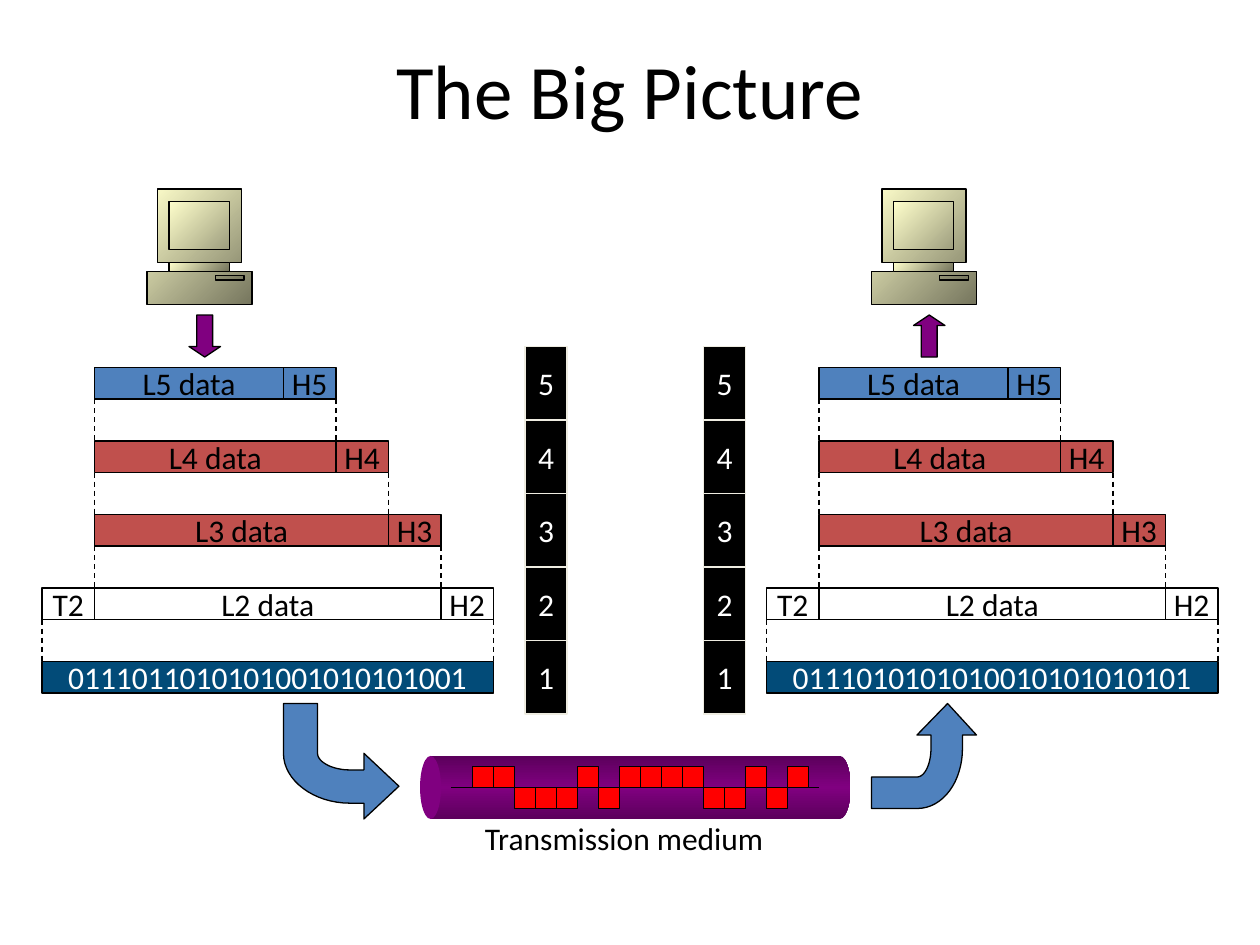
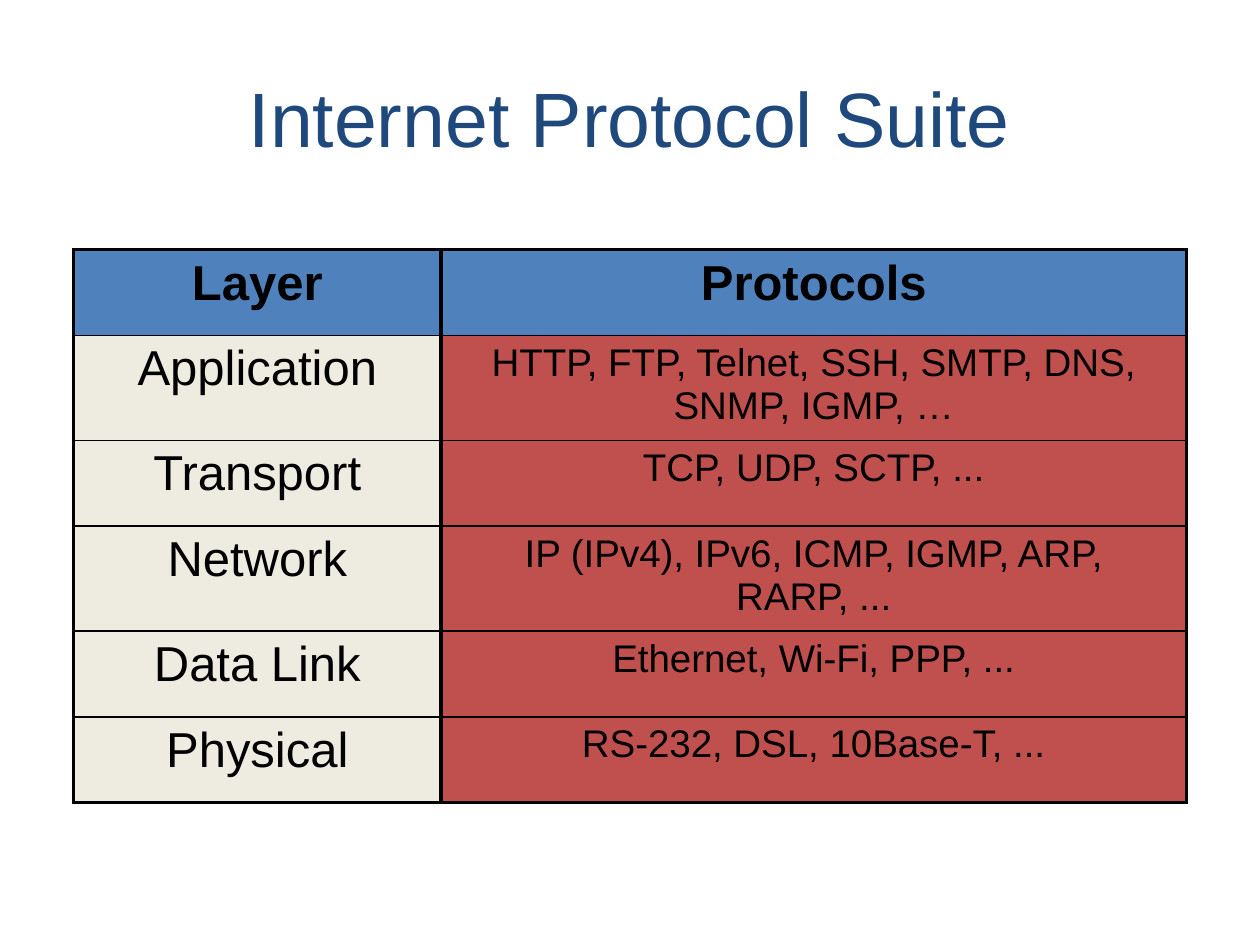
import dataclasses
import typing

import lxml.etree
import pptx
import pptx.dml.color
import pptx.enum.dml
import pptx.enum.shapes
import pptx.enum.text
import pptx.oxml.ns
import pptx.util

Pt = pptx.util.Pt
qn = pptx.oxml.ns.qn
Preset = pptx.enum.shapes.MSO_SHAPE
Align = pptx.enum.text.PP_ALIGN
Anchor = pptx.enum.text.MSO_ANCHOR
Point = tuple[float, float]

BLACK, WHITE = "000000", "FFFFFF"
BLUE, RED, CREAM, NAVY = "4F81BD", "C0504D", "EEECE1", "024B78"
PURPLE, SIGNAL_RED, TITLE_BLUE = "800080", "FF0000", "1F497D"
BEIGE_GRADIENT = ("FFFFCC", "76765E")
CABLE_GRADIENT = ("5C005C", PURPLE, "5C005C")

STACK_TOP, LAYER_PITCH, ROW_HEIGHT, HEADER_WIDTH = 210, 42, 18, 30
HOST_SHIFT = 414
LAYER_FILLS = {5: BLUE, 4: RED, 3: RED, 2: WHITE}
LINE_CODE = "1100010111100101"


@dataclasses.dataclass
class Box:
    left: float
    top: float
    width: float
    height: float
    fill: str | tuple[str, ...]
    text: str = ""
    text_color: str = BLACK
    line: str | None = BLACK
    preset: typing.Any = Preset.RECTANGLE


@dataclasses.dataclass
class Title:
    text: str
    top: float
    height: float
    font: str
    color: str


@dataclasses.dataclass
class Host:
    shift: float
    bits: str
    ladder_left: float
    arrow: typing.Any


TITLES = (
    Title("The Big Picture", 12, 78, "Calibri", BLACK),
    Title("Internet Protocol Suite", 21.6, 90, "Arial", TITLE_BLUE),
)
HOSTS = (
    Host(0, "0111011010101001010101001", 300, Preset.DOWN_ARROW),
    Host(HOST_SHIFT, "0111010101010010101010101", 402, Preset.UP_ARROW),
)
PROTOCOLS = (
    ("Layer", "Protocols"),
    ("Application", "HTTP, FTP, Telnet, SSH, SMTP, DNS, SNMP, IGMP, …"),
    ("Transport", "TCP, UDP, SCTP, ..."),
    ("Network", "IP (IPv4), IPv6, ICMP, IGMP, ARP, RARP, ..."),
    ("Data Link", "Ethernet, Wi-Fi, PPP, ..."),
    ("Physical", "RS-232, DSL, 10Base-T, ..."),
)


def rgb(color: str) -> pptx.dml.color.RGBColor:
    return pptx.dml.color.RGBColor.from_string(color)


def format_text(text_frame, size: float, font: str, color: str, align=Align.CENTER, bold=False) -> None:
    for paragraph in text_frame.paragraphs:
        paragraph.alignment = align
        for run in paragraph.runs:
            run.font.size = Pt(size)
            run.font.name = font
            run.font.bold = bold
            run.font.color.rgb = rgb(color)


def paint(shape, fill: str | tuple[str, ...], line: str | None = BLACK, angle: float = 315) -> None:
    shape.shadow.inherit = False
    if isinstance(fill, str):
        shape.fill.solid()
        shape.fill.fore_color.rgb = rgb(fill)
    else:
        shape.fill.gradient()
        shape.fill.gradient_angle = angle
        stops = next(shape._element.iter(qn("a:gsLst")))
        for stop in list(stops):
            stops.remove(stop)
        for index, color in enumerate(fill):
            position = str(100000 * index // (len(fill) - 1))
            stop = lxml.etree.SubElement(stops, qn("a:gs"), pos=position)
            lxml.etree.SubElement(stop, qn("a:srgbClr"), val=color)
    if line is None:
        shape.line.fill.background()
    else:
        shape.line.color.rgb = rgb(line)
        shape.line.width = Pt(0.75)


def draw_box(slide, box: Box):
    shape = slide.shapes.add_shape(box.preset, Pt(box.left), Pt(box.top), Pt(box.width), Pt(box.height))
    paint(shape, box.fill, box.line, angle=270)
    if box.text:
        text_frame = shape.text_frame
        text_frame.word_wrap = False
        text_frame.vertical_anchor = Anchor.MIDDLE
        text_frame.text = box.text
        format_text(text_frame, 18, "Calibri", box.text_color)
    return shape


def draw_line(slide, start: Point, end: Point, dashed: bool = False) -> None:
    connector = slide.shapes.add_connector(
        pptx.enum.shapes.MSO_CONNECTOR.STRAIGHT, *(Pt(value) for value in start + end))
    connector.line.color.rgb = rgb(BLACK)
    connector.line.width = Pt(0.75)
    if dashed:
        connector.line.dash_style = pptx.enum.dml.MSO_LINE.DASH
    lxml.etree.SubElement(connector._element.spPr, qn("a:effectLst"))


def draw_outline(slide, contours: list[list[Point]], fill: str | tuple[str, ...]) -> None:
    scaled = [[(Pt(x), Pt(y)) for x, y in contour] for contour in contours]
    builder = slide.shapes.build_freeform(*scaled[0][0])
    for index, contour in enumerate(scaled):
        if index:
            builder.move_to(*contour[0])
        builder.add_line_segments(contour[1:], close=True)
    paint(builder.convert_to_shape(), fill)


def curve(start: Point, first: Point, second: Point, end: Point, steps: int = 16) -> list[Point]:
    points = []
    for step in range(steps + 1):
        t = step / steps
        weights = ((1 - t) ** 3, 3 * t * (1 - t) ** 2, 3 * t * t * (1 - t), t ** 3)
        points.append(tuple(
            sum(weight * value for weight, value in zip(weights, values))
            for values in zip(start, first, second, end)))
    return points


def rectangle(left: float, top: float, right: float, bottom: float) -> list[Point]:
    return [(left, top), (right, top), (right, bottom), (left, bottom)]


def draw_title(slide, title: Title) -> None:
    text_frame = slide.shapes.add_textbox(Pt(36), Pt(title.top), Pt(648), Pt(title.height)).text_frame
    text_frame.word_wrap = True
    text_frame.vertical_anchor = Anchor.MIDDLE
    text_frame.text = title.text
    format_text(text_frame, 44, title.font, title.color)


def draw_computer(slide, shift: float) -> None:
    silhouette = [(131, 155), (131, 150), (138, 150), (138, 108), (90, 108), (90, 150),
                  (96.5, 150), (96.5, 155), (84, 155), (84, 174), (144, 174), (144, 155)]
    neck = rectangle(96.5, 150, 131, 155)
    screen = rectangle(96.5, 115, 131, 142.5)
    drive = rectangle(123, 157.5, 139.5, 160)
    for contours in ([silhouette], [neck], [screen, drive]):
        moved = [[(x + shift, y) for x, y in contour] for contour in contours]
        draw_outline(slide, moved, BEIGE_GRADIENT)


def draw_host(slide, host: Host) -> None:
    draw_computer(slide, host.shift)
    arrow = draw_box(slide, Box(host.shift + 108, 180, 18, 24, PURPLE, preset=host.arrow))
    arrow.adjustments[0], arrow.adjustments[1] = 0.5, 0.333

    data_left = host.shift + 54
    trailer_left = data_left - HEADER_WIDTH
    for index, (layer, fill) in enumerate(LAYER_FILLS.items()):
        top = STACK_TOP + index * LAYER_PITCH
        data_width = 108 + index * HEADER_WIDTH
        header_left = data_left + data_width
        draw_box(slide, Box(data_left, top, data_width, ROW_HEIGHT, fill, f"L{layer} data"))
        draw_box(slide, Box(header_left, top, HEADER_WIDTH, ROW_HEIGHT, fill, f"H{layer}"))
        if layer == 2:
            draw_box(slide, Box(trailer_left, top, HEADER_WIDTH, ROW_HEIGHT, fill, f"T{layer}"))
        frame_left = trailer_left if layer == 2 else data_left
        for x in (frame_left, header_left + HEADER_WIDTH):
            draw_line(slide, (x, top + ROW_HEIGHT), (x, top + LAYER_PITCH), dashed=True)
    draw_box(slide, Box(trailer_left, STACK_TOP + 4 * LAYER_PITCH, 258, ROW_HEIGHT, NAVY, host.bits, WHITE))

    for index in range(5):
        draw_box(slide, Box(host.ladder_left, 198 + index * LAYER_PITCH, 24, LAYER_PITCH,
                            BLACK, str(5 - index), WHITE, CREAM))


def draw_medium(slide) -> None:
    for part in (
        Box(474, 432, 12, 36, CABLE_GRADIENT, line=None, preset=Preset.OVAL),
        Box(246, 432, 234, 36, CABLE_GRADIENT, line=None),
        Box(240, 432, 12, 36, PURPLE, line=None, preset=Preset.OVAL),
    ):
        draw_box(slide, part)
    draw_line(slide, (258, 450), (468, 450))
    for index, level in enumerate(LINE_CODE):
        draw_box(slide, Box(270 + 12 * index, 438 if level == "1" else 450, 12, 12, SIGNAL_RED))

    text_frame = slide.shapes.add_textbox(Pt(270), Pt(464.4), Pt(188), Pt(29)).text_frame
    text_frame.word_wrap = False
    text_frame.text = "Transmission medium"
    format_text(text_frame, 18, "Calibri", BLACK, Align.LEFT)


def draw_bent_arrows(slide) -> None:
    into_medium = [
        (228, 449.3), (208, 468), (208, 459),
        *curve((200, 459), (179.3, 459), (162, 446), (162, 430.5)),
        (162, 402), (181.5, 402),
        *curve((181.5, 430.5), (181.5, 435.5), (190, 440), (200, 440)),
        (208, 440), (208, 430.5),
    ]
    out_of_medium = [
        (541.5, 402), (558, 420), (550, 420),
        *curve((550, 427.5), (550, 446.5), (539, 462), (524, 462)),
        (498, 462), (498, 444),
        *curve((524, 444), (528.5, 444), (532, 436.5), (532, 427.5)),
        (532, 420), (524, 420),
    ]
    for outline in (into_medium, out_of_medium):
        draw_outline(slide, [outline], BLUE)


def set_borders(cell, top: float, bottom: float) -> None:
    properties = cell._tc.get_or_add_tcPr()
    for index, (side, width) in enumerate((("L", 2.25), ("R", 2.25), ("T", top), ("B", bottom))):
        line = lxml.etree.Element(qn(f"a:ln{side}"), w=str(Pt(width)))
        fill = lxml.etree.SubElement(line, qn("a:solidFill"))
        lxml.etree.SubElement(fill, qn("a:srgbClr"), val=BLACK)
        properties.insert(index, line)


def set_relative_space_before(paragraph, percent: int) -> None:
    spacing = lxml.etree.Element(qn("a:spcBef"))
    lxml.etree.SubElement(spacing, qn("a:spcPct"), val=str(percent * 1000))
    paragraph._p.get_or_add_pPr().insert(0, spacing)


def draw_protocol_table(slide) -> None:
    row_count = len(PROTOCOLS)
    table = slide.shapes.add_table(row_count, 2, Pt(42), Pt(142.6), Pt(636), Pt(49 * row_count)).table
    table.horz_banding = False
    for column, width in zip(table.columns, (210, 426)):
        column.width = Pt(width)
    for row_index, row in enumerate(PROTOCOLS):
        table.rows[row_index].height = Pt(49)
        is_header = row_index == 0
        for column_index, text in enumerate(row):
            cell = table.cell(row_index, column_index)
            cell.text_frame.text = text
            size = 28 if is_header or column_index == 0 else 22
            format_text(cell.text_frame, size, "Arial", BLACK, bold=is_header)
            set_relative_space_before(cell.text_frame.paragraphs[0], 20)
            cell.fill.solid()
            cell.fill.fore_color.rgb = rgb(BLUE if is_header else (CREAM, RED)[column_index])
            set_borders(cell, 2.25 if is_header else 1, 2.25 if row_index == row_count - 1 else 1)


def main() -> None:
    presentation = pptx.Presentation()
    presentation.slide_width, presentation.slide_height = Pt(720), Pt(540)
    picture_slide, suite_slide = (
        presentation.slides.add_slide(presentation.slide_layouts[6]) for _ in TITLES)
    for slide, title in zip((picture_slide, suite_slide), TITLES):
        draw_title(slide, title)
    for host in HOSTS:
        draw_host(picture_slide, host)
    draw_medium(picture_slide)
    draw_bent_arrows(picture_slide)
    draw_protocol_table(suite_slide)
    presentation.save("out.pptx")


if __name__ == "__main__":
    main()
